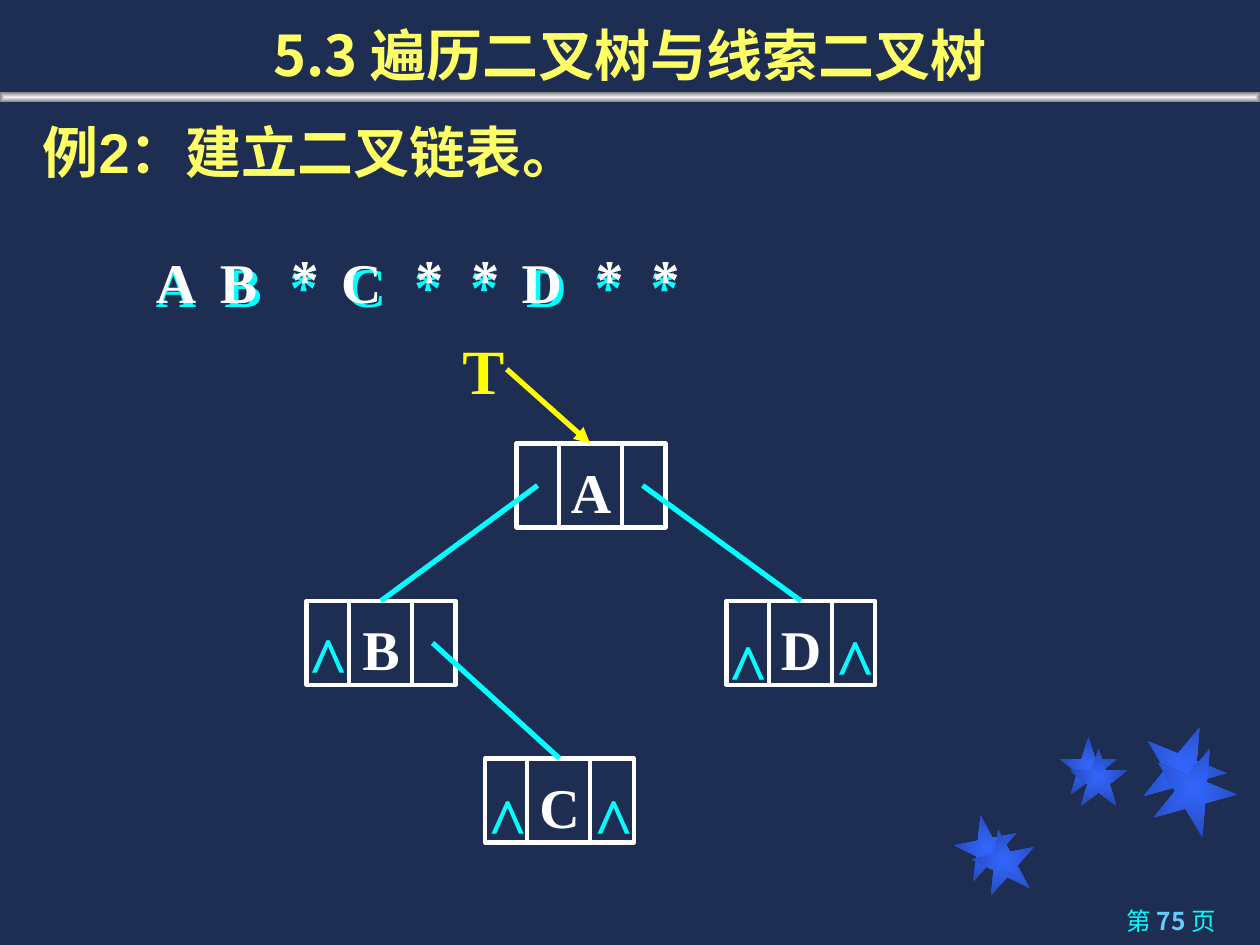
from lxml import etree
from pptx import Presentation
from pptx.dml.color import RGBColor
from pptx.enum import shapes, text
from pptx.oxml import ns
from pptx.util import Pt

NAVY = RGBColor(0x1E, 0x2E, 0x53)
WHITE = RGBColor(0xFF, 0xFF, 0xFF)
CYAN = RGBColor(0x00, 0xFF, 0xFF)
SKY = RGBColor(0x66, 0xCC, 0xFF)
YELLOW = RGBColor(0xFF, 0xFF, 0x00)
PALE_YELLOW = RGBColor(0xFF, 0xFF, 0x66)
STAR_COLORS = RGBColor(0x33, 0x66, 0xFF), RGBColor(0x24, 0x49, 0xB6)
BAR_COLORS = RGBColor(0xF2, 0xF2, 0xF2), RGBColor(0x80, 0x80, 0x80)
CJK = "Noto Sans CJK SC"
SERIF = "Times New Roman"
LETTER_WIDTHS = {"A": 23.1, "B": 21.3, "C": 23.1, "D": 23.1, "*": 16}
NODE_WIDTH, NODE_HEIGHT = 85, 48


def add_element(parent, tag, **attributes):
    """Append a drawing element to its parent."""
    return etree.SubElement(parent, ns.qn(tag), attributes)


def write(frame, runs, size=32, font=SERIF, bold=True, align="LEFT",
          anchor="TOP", wrap=True, top=8, line_spacing=None, tabs=()):
    """Fill a text frame with (text, colour) runs in one format."""
    frame.word_wrap = wrap
    frame.margin_top = Pt(top)
    frame.vertical_anchor = getattr(text.MSO_ANCHOR, anchor)
    paragraph = frame.paragraphs[0]
    paragraph.alignment = getattr(text.PP_ALIGN, align)
    if line_spacing:
        paragraph.line_spacing = line_spacing
    if tabs:
        tab_list = add_element(paragraph._p.get_or_add_pPr(), "a:tabLst")
        for position in tabs:
            add_element(tab_list, "a:tab", pos=str(Pt(position)), algn="l")
    for words, color in runs:
        run = paragraph.add_run()
        run.text = words
        run.font.size = Pt(size)
        run.font.bold = bold
        run.font.name = font
        run.font.color.rgb = color
        add_element(run._r.get_or_add_rPr(), "a:ea", typeface=CJK)
    return paragraph


def add_text(slide, box, runs, **text_format):
    """Add a text box with formatted runs."""
    shape = slide.shapes.add_textbox(*map(Pt, box))
    return write(shape.text_frame, runs, **text_format)


def add_line(slide, start, end, color, width, arrow=False):
    """Add a straight line, with an arrowhead at its end if asked."""
    line = slide.shapes.add_connector(
        shapes.MSO_CONNECTOR.STRAIGHT, *map(Pt, (*start, *end)))
    line.line.color.rgb = color
    line.line.width = Pt(width)
    if arrow:
        add_element(line.line._get_or_add_ln(), "a:tailEnd", type="triangle")
    add_element(line._element.spPr, "a:effectLst")


def add_glow_shape(slide, kind, box, colors, rotation=0):
    """Add a borderless shape shaded from its centre outwards."""
    shape = slide.shapes.add_shape(kind, *map(Pt, box))
    shape.shadow.inherit = False
    shape.rotation = rotation
    shape.line.fill.background()
    shape.fill.gradient()
    for stop, color, position in zip(shape.fill.gradient_stops, colors, (0, 1)):
        stop.color.rgb = color
        stop.position = position
    gradient = shape._element.spPr.find(ns.qn("a:gradFill"))
    gradient.remove(gradient.find(ns.qn("a:lin")))
    shading = add_element(gradient, "a:path", path="shape")
    add_element(shading, "a:fillToRect", l="50000", t="50000", r="50000", b="50000")


def add_decoration(slide):
    """Draw the pairs of stars and the bar under the title."""
    for left, top, size, rotation in (
            (545.8, 465.8, 36, 349), (605.5, 421.2, 33, 0), (652.3, 414, 48.2, 22),
            (555.8, 473.8, 36, 349), (611.3, 427.7, 33, 0), (658.1, 426.2, 48.2, 22)):
        add_glow_shape(slide, shapes.MSO_SHAPE.STAR_5_POINT,
                       (left, top, size, size), STAR_COLORS, rotation)
    add_glow_shape(slide, shapes.MSO_SHAPE.RECTANGLE, (0, 52.6, 720, 5.8), BAR_COLORS)


def add_headings(slide):
    """Fill the title, the example heading and the page number."""
    title = slide.shapes.title
    title.left, title.top, title.width, title.height = map(Pt, (0, 0, 720, 54))
    write(title.text_frame, [("5.3 遍历二叉树与线索二叉树", PALE_YELLOW)],
          font=CJK, align="CENTER", anchor="BOTTOM", top=3.6)
    add_text(slide, (17.3, 63.4, 666.7, 49.7), [("例2：建立二叉链表。", PALE_YELLOW)],
             font="Arial", top=3.6)
    number = add_text(slide, (512.6, 514, 189.4, 26),
                      [("第 ", CYAN), ("75 ", SKY), ("页", CYAN)],
                      size=14, font=CJK, bold=False, align="RIGHT", top=3.6)
    number.runs[1].font.bold = True


def add_sequence(slide, left, top):
    """Write the input sequence in cyan with white letters over it."""
    letters = "AB*C**D**"
    starts = [0]
    for letter in letters[:-1]:
        starts.append(starts[-1] + LETTER_WIDTHS[letter] + 16)
    add_text(slide, (left, top, 480, 54), [("\t".join(letters), CYAN)],
             line_spacing=1.2, tabs=starts[1:])
    for letter, start in zip(letters, starts):
        shift = 2.5 if start else 0
        if letter == "*":
            add_text(slide, (left + start + 3.2 - shift, top + 12.9, 24, 30),
                     [(letter, WHITE)], align="CENTER", anchor="MIDDLE", wrap=False)
        else:
            add_text(slide, (left + start - shift, top + 5, 37.4, 45.4),
                     [(letter, WHITE)], wrap=False)


def add_node(slide, left, top, letter, carets):
    """Draw a three-part node with carets at the given offsets."""
    box = slide.shapes.add_shape(
        shapes.MSO_SHAPE.RECTANGLE, *map(Pt, (left, top, NODE_WIDTH, NODE_HEIGHT)))
    box.shadow.inherit = False
    box.fill.background()
    box.line.color.rgb = WHITE
    box.line.width = Pt(2.5)
    write(box.text_frame, [(letter, WHITE)], align="CENTER")
    for offset in (24, 60):
        add_line(slide, (left + offset, top), (left + offset, top + NODE_HEIGHT), WHITE, 2.25)
    for across, down in carets:
        add_text(slide, (left + across, top + down, 37.4, 55.4), [("^", CYAN)],
                 size=40, wrap=False)


def add_tree(slide, left, top):
    """Draw the linked binary tree with its root pointer."""
    nodes = {
        "A": (left + 120, top, []),
        "B": (left, top + 90, [(-6.4, 0.8)]),
        "C": (left + 102, top + 180, [(-5.8, 2.9), (54.8, 2.9)]),
        "D": (left + 240, top + 90, [(-6.4, 5), (54.8, 2.2)]),
    }
    for letter, (x, y, carets) in nodes.items():
        add_node(slide, x, y, letter, carets)
    for parent, child, slot in (("A", "B", 12), ("A", "D", 72), ("B", "C", 72)):
        x, y, _ = nodes[parent]
        child_x, child_y, _ = nodes[child]
        add_line(slide, (x + slot, y + 24), (child_x + NODE_WIDTH / 2, child_y), CYAN, 3)
    add_text(slide, (left + 82, top - 72, 38.2, 50.4), [("T", YELLOW)],
             size=36, wrap=False)
    add_line(slide, (left + 114.4, top - 42.4), (left + 162, top), YELLOW, 3, arrow=True)


def main():
    """Build and save the slide."""
    presentation = Presentation()
    presentation.slide_width, presentation.slide_height = Pt(720), Pt(540)
    slide = presentation.slides.add_slide(presentation.slide_layouts[5])
    slide.background.fill.solid()
    slide.background.fill.fore_color.rgb = NAVY
    add_decoration(slide)
    add_headings(slide)
    add_sequence(slide, 82, 128.2)
    add_tree(slide, 175.2, 253.4)
    presentation.save("out.pptx")


if __name__ == "__main__":
    main()
